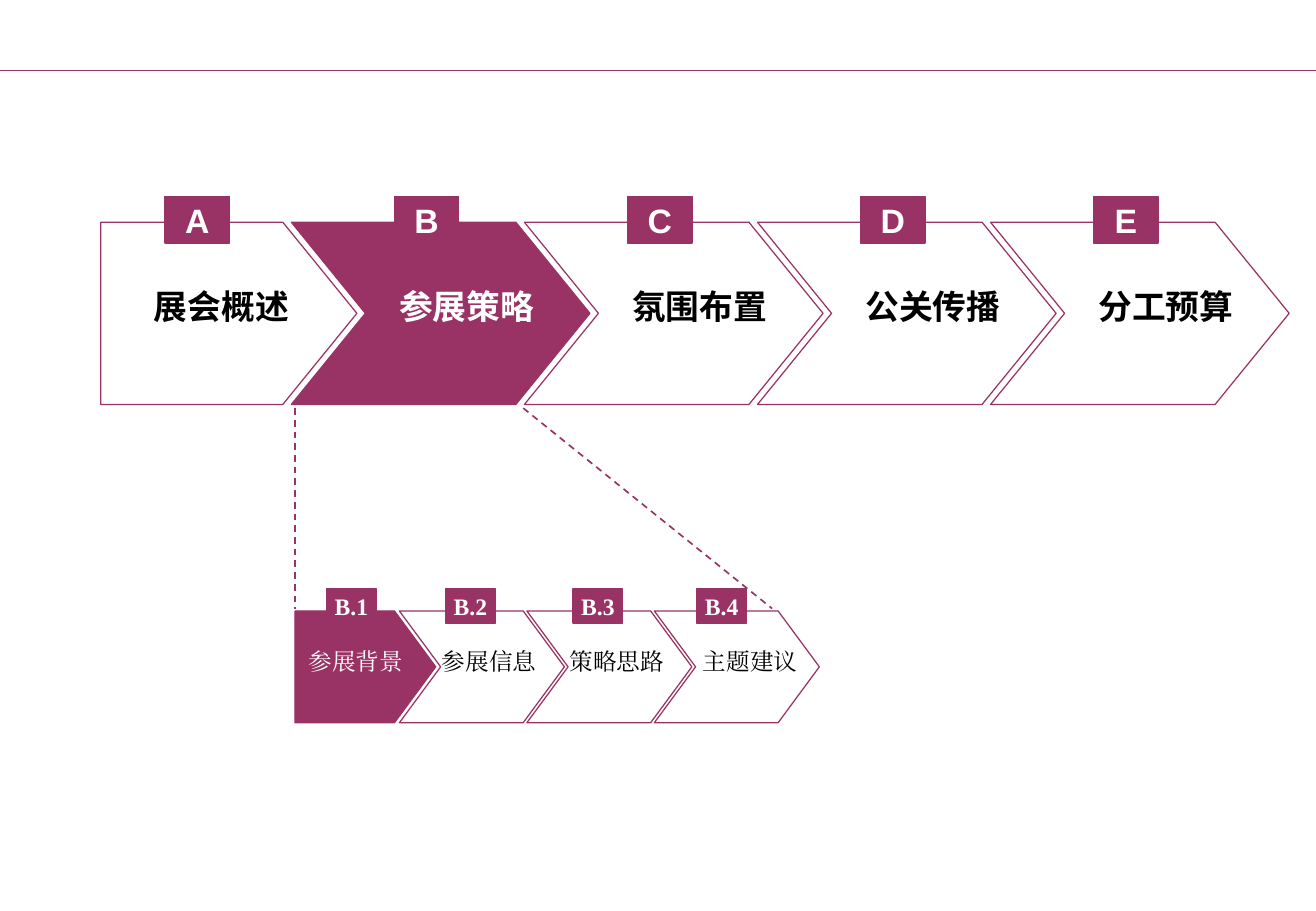
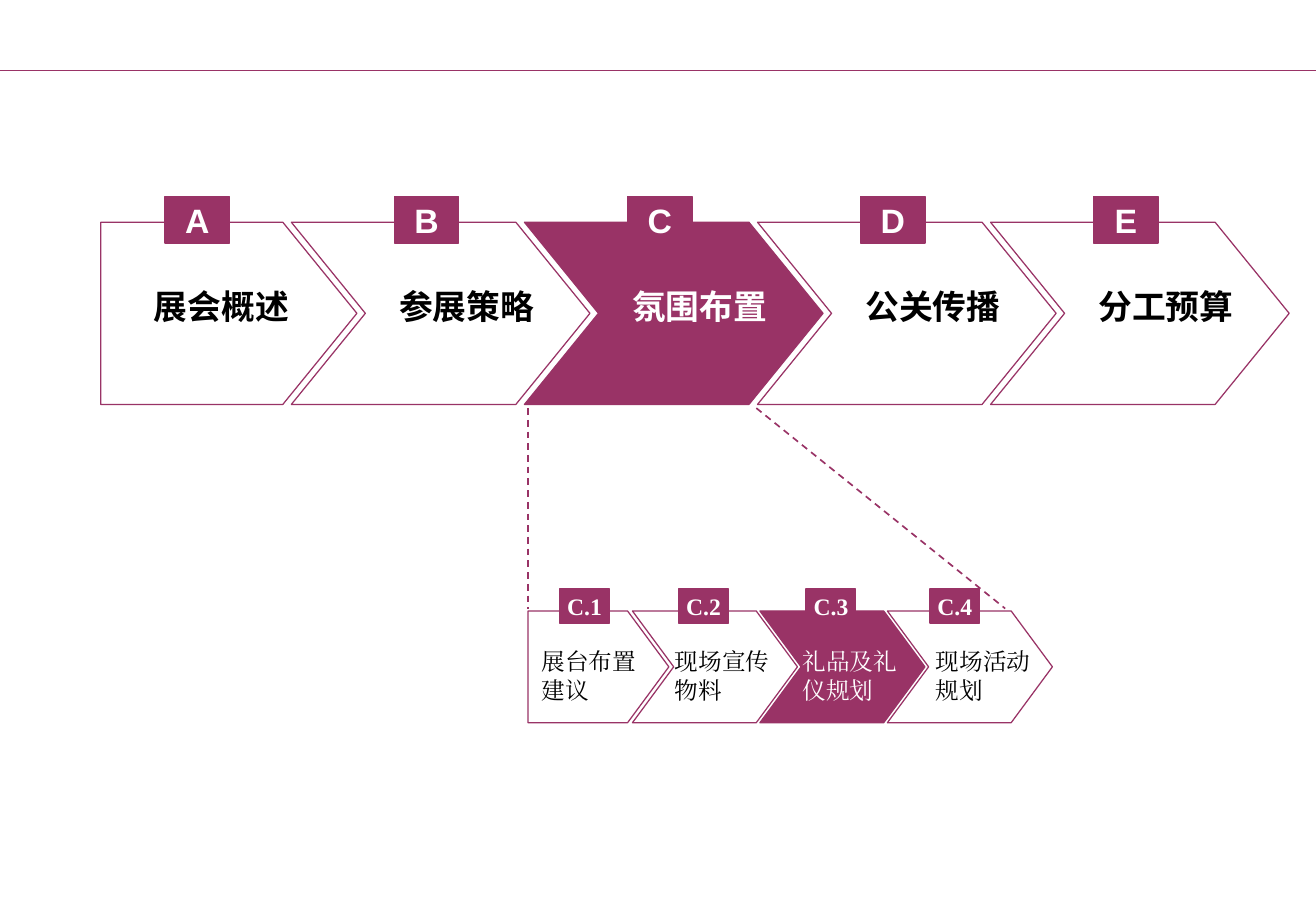
from dataclasses import dataclass

from lxml import etree
from pptx import Presentation
from pptx.dml.color import RGBColor
from pptx.enum.dml import MSO_LINE
from pptx.enum.shapes import MSO_CONNECTOR, MSO_SHAPE
from pptx.enum.text import MSO_ANCHOR, PP_ALIGN
from pptx.oxml.ns import qn
from pptx.util import Inches, Pt

DASH = MSO_LINE.DASH
STRAIGHT = MSO_CONNECTOR.STRAIGHT
RECT = MSO_SHAPE.RECTANGLE
MIDDLE = MSO_ANCHOR.MIDDLE
CENTER = PP_ALIGN.CENTER

PLUM, WHITE, BLACK = "993366", "FFFFFF", "000000"
SANS, SERIF, LATIN = "Noto Sans CJK SC", "Times New Roman", "Arial"


@dataclass
class Style:
    """Sizes of one row of arrows, in inches from the left top of each arrow."""

    tall: float
    tip: float
    first: float
    wide: float
    start: float
    pitch: float
    tags: tuple
    tag: tuple
    notes: tuple
    note: tuple
    pad: tuple
    size: int
    bold: bool
    font: str
    mark: str
    fill: str | None


MAIN = Style(tall=1.5, tip=0.61, first=2.11, wide=2.46, start=1.57, pitch=1.92,
             tags=(0.53, 0.85, 0.85, 0.85, 0.85), tag=(-0.21, 0.53, 0.38),
             notes=(0.34, 0.79, 0.79, 0.79, 0.79), note=(0.47, 1.36, 0.44),
             pad=(0.1, 0.05), size=20, bold=True, font=SANS, mark=LATIN, fill=WHITE)
SUB = Style(tall=0.92, tip=0.34, first=1.16, wide=1.36, start=0.86, pitch=1.05,
            tags=(0.26, 0.38, 0.38, 0.35), tag=(-0.18, 0.41, 0.28),
            notes=(0.11, 0.35, 0.35, 0.4), note=(0.3, 0.91, 0.47),
            pad=(0, 0), size=14, bold=False, font=SERIF, mark=SERIF, fill=None)

LEFT, TOP, LOW = 0.83, 1.83, 5.03
STAGES = ["展会概述", "参展策略", "氛围布置", "公关传播", "分工预算"]
PAGES = [
    (1, ["参展背景", "参展信息", "策略思路", "主题建议"], 0),
    (2, ["展台布置建议", "现场宣传物料", "礼品及礼仪规划", "现场活动规划"], 2),
]


def color(code):
    """Turn a hex string into a colour."""
    return RGBColor.from_string(code)


def paint(shape, fill):
    """Set the fill and the plum outline of a shape."""
    shape.shadow.inherit = False
    if fill:
        shape.fill.solid()
        shape.fill.fore_color.rgb = color(fill)
    else:
        shape.fill.background()
    shape.line.color.rgb = color(PLUM)
    shape.line.width = Pt(0.75)


def rule(slide, start, end, width, dash=None):
    """Draw a straight plum line between two points."""
    line = slide.shapes.add_connector(STRAIGHT, *map(Inches, start + end))
    line.line.color.rgb = color(PLUM)
    line.line.width = Pt(width)
    if dash:
        line.line.dash_style = dash
    etree.SubElement(line.element.spPr, qn("a:effectLst"))
    return line


def write(frame, text, font, size, bold, tint, pad=(0, 0)):
    """Add one run of text to the first paragraph of a frame."""
    frame.margin_left = frame.margin_right = Inches(pad[0])
    frame.margin_top = frame.margin_bottom = Inches(pad[1])
    run = frame.paragraphs[0].add_run()
    run.text = text
    run.font.name = font
    run.font.size = Pt(size)
    run.font.bold = bold
    run.font.color.rgb = color(tint)
    east = etree.SubElement(run.font._element, qn("a:ea"))
    east.set("typeface", font)


def arrow(slide, x, y, wide, style, notch, fill):
    """Draw a pointed block, notched on the left if asked."""
    neck, half = x + wide - style.tip, y + style.tall / 2
    low = y + style.tall
    spots = [(neck, y), (x + wide, half), (neck, low), (x, low)]
    if notch:
        spots.append((x + style.tip, half))
    pen = slide.shapes.build_freeform(Inches(x), Inches(y))
    pen.add_line_segments([(Inches(a), Inches(b)) for a, b in spots], close=True)
    paint(pen.convert_to_shape(), fill)


def badge(slide, x, y, text, style):
    """Draw the plum tag that sits on the top edge of an arrow."""
    drop, wide, tall = style.tag
    box = slide.shapes.add_shape(RECT, *map(Inches, (x, y + drop, wide, tall)))
    paint(box, PLUM)
    frame = box.text_frame
    frame.word_wrap = False
    frame.vertical_anchor = MIDDLE
    frame.paragraphs[0].alignment = CENTER
    write(frame, text, style.mark, style.size, True, WHITE)


def label(slide, x, y, text, style, tint):
    """Write the name inside an arrow."""
    drop, wide, tall = style.note
    box = slide.shapes.add_textbox(*map(Inches, (x, y + drop, wide, tall)))
    box.text_frame.word_wrap = True
    write(box.text_frame, text, style.font, style.size, style.bold, tint, style.pad)


def spot(left, style, at):
    """Give the left edge of an arrow in a row."""
    return left + style.start + style.pitch * (at - 1) if at else left


def row(slide, left, top, names, marks, style, pick):
    """Draw a row of arrows with one of them picked out."""
    for at, (name, mark) in enumerate(zip(names, marks)):
        x = spot(left, style, at)
        wide = style.wide if at else style.first
        hit = at == pick
        arrow(slide, x, top, wide, style, at > 0, PLUM if hit else style.fill)
        label(slide, x + style.notes[at], top, name, style, WHITE if hit else BLACK)
        badge(slide, x + style.tags[at], top, mark, style)


def zoom(slide, left, top, low):
    """Draw the dashed lines that open a stage into its parts."""
    for start, end in ((0, 0), (1.88, 3.93)):
        rule(slide, (left + start, top), (left + end, low), 1, DASH)


def page(slide, stage, parts, pick):
    """Draw the stages and the parts of the current stage."""
    marks = "ABCDE"
    row(slide, LEFT, TOP, STAGES, marks, MAIN, stage)
    left = spot(LEFT, MAIN, stage) + 0.03
    zoom(slide, left, TOP + MAIN.tall + 0.03, LOW - 0.02)
    tags = [f"{marks[stage]}.{at + 1}" for at in range(len(parts))]
    row(slide, left, LOW, parts, tags, SUB, pick)


def main():
    """Build and save the deck, with the top rule kept on the layout."""
    deck = Presentation()
    deck.slide_width, deck.slide_height = Inches(10.84), Inches(7.5)
    blank = deck.slide_layouts[6]
    for at, plan in enumerate(PAGES):
        slide = deck.slides.add_slide(blank)
        if at == 0:
            line = rule(slide, (0, 0.58), (10.84, 0.58), 0.75)
            blank.element.cSld.spTree.append(line.element)
        page(slide, *plan)
    deck.save("out.pptx")


if __name__ == "__main__":
    main()
